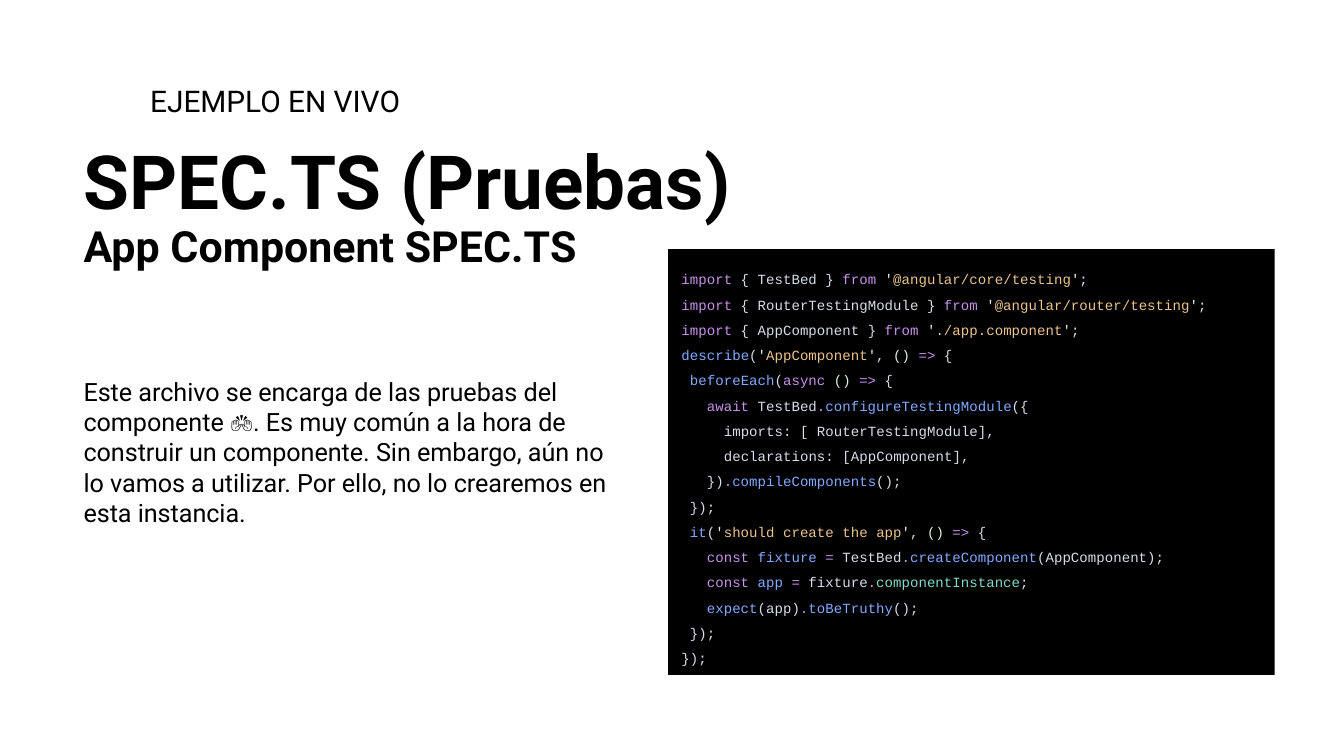
from dataclasses import dataclass
from typing import NamedTuple

from pptx import Presentation
from pptx.dml.color import RGBColor as Color
from pptx.enum.shapes import MSO_SHAPE as ShapeKind
from pptx.enum.text import MSO_ANCHOR as Anchor, PP_ALIGN as Align
from pptx.util import Cm, Pt


@dataclass(frozen=True)
class Theme:
    ink: str = "000000"
    panel: str = "000000"
    badge: str = "FFFFFF"
    keyword: str = "C792EA"
    plain: str = "D6DEEB"
    quote: str = "D9F5DD"
    string: str = "ECC48D"
    function: str = "82AAFF"
    member: str = "7FDBCA"
    text_font: str = "Roboto"
    code_font: str = "Courier New"
    title_size: float = 40
    subtitle_size: float = 23
    label_size: float = 16
    body_size: float = 13.5
    code_size: float = 7.5


THEME = Theme()


class Box(NamedTuple):
    left: float
    top: float
    width: float
    height: float


class Token(NamedTuple):
    text: str
    color: str
    size: float = THEME.code_size
    font: str = THEME.code_font
    bold: bool = False


class TextBlock(NamedTuple):
    box: Box
    lines: list[list[Token]]
    spacing: float = 1.0


def keyword(text: str) -> Token:
    return Token(text, THEME.keyword)


def plain(text: str) -> Token:
    return Token(text, THEME.plain)


def function(text: str) -> Token:
    return Token(text, THEME.function)


def prose(text: str, size: float, bold: bool = False) -> list[Token]:
    return [Token(text, THEME.ink, size, THEME.text_font, bold)]


def quoted(text: str) -> list[Token]:
    quote = Token("'", THEME.quote)
    return [quote, Token(text, THEME.string), quote]


def import_line(name: str, source: str) -> list[Token]:
    return [keyword("import"), plain(f" {{ {name} }} "), keyword("from "),
            *quoted(source), plain(";")]


def arrow_start() -> list[Token]:
    return [Token("() ", THEME.quote), keyword("=>"), plain(" {")]


def test_block(name: str, title: str) -> list[Token]:
    return [function(name), plain("("), *quoted(title), plain(", "), *arrow_start()]


def constant(name: str, value: str) -> list[Token]:
    return [plain("   "), keyword("const "), function(name), keyword(" = "),
            plain(value), keyword(".")]


CODE = [
    import_line("TestBed", "@angular/core/testing"),
    import_line("RouterTestingModule", "@angular/router/testing"),
    import_line("AppComponent", "./app.component"),
    test_block("describe", "AppComponent"),
    [plain(" "), function("beforeEach"), plain("("), keyword("async "), *arrow_start()],
    [plain("   "), keyword("await"), plain(" TestBed"), keyword("."),
     function("configureTestingModule"), plain("({")],
    [plain("     imports: [ RouterTestingModule],")],
    [plain("     declarations: [AppComponent],")],
    [plain("   })"), keyword("."), function("compileComponents"), plain("();")],
    [plain(" });")],
    [plain(" "), *test_block("it", "should create the app")],
    [*constant("fixture", "TestBed"), function("createComponent"), plain("(AppComponent);")],
    [*constant("app", "fixture"), Token("componentInstance", THEME.member), plain(";")],
    [plain("   "), function("expect"), plain("(app)"), keyword("."),
     function("toBeTruthy"), plain("();")],
    [plain(" });")],
    [plain("});")],
]

TITLE = TextBlock(Box(1.33, 2.49, 19.76, 2.95), [
    prose("SPEC.TS (Pruebas)", THEME.title_size, True),
    prose("App Component SPEC.TS", THEME.subtitle_size, True),
], 0.9)
BODY = TextBlock(Box(1.33, 6.86, 10.74, 3.4), [prose(
    "Este archivo se encarga de las pruebas del componente 🙌. "
    "Es muy común a la hora de construir un componente. "
    "Sin embargo, aún no lo vamos a utilizar. "
    "Por ello, no lo crearemos en esta instancia.", THEME.body_size)])
LABEL = TextBlock(Box(2.59, 1.31, 8.1, 1.19), [prose("EJEMPLO EN VIVO", THEME.label_size)])
LISTING = TextBlock(Box(12.63, 4.71, 11.46, 8.05), CODE, 1.5)
BADGE = Box(1.4, 1.3, 1.19, 1.19)


def apply(target: object, values: dict[str, object]) -> None:
    for name, value in values.items():
        setattr(target, name, value)


def write_text(shape, block: TextBlock) -> None:
    frame = shape.text_frame
    inset = Pt(7.2)
    apply(frame, {"word_wrap": True, "vertical_anchor": Anchor.TOP,
                  "margin_left": inset, "margin_right": inset,
                  "margin_top": inset, "margin_bottom": inset})
    for index, line in enumerate(block.lines):
        paragraph = frame.add_paragraph() if index else frame.paragraphs[0]
        apply(paragraph, {"alignment": Align.LEFT, "line_spacing": block.spacing})
        for token in line:
            run = paragraph.add_run()
            run.text = token.text
            apply(run.font, {"name": token.font, "size": Pt(token.size), "bold": token.bold})
            run.font.color.rgb = Color.from_string(token.color)


def add_text(slide, block: TextBlock) -> None:
    write_text(slide.shapes.add_textbox(*map(Cm, block.box)), block)


def add_filled(slide, kind: ShapeKind, box: Box, color: str):
    shape = slide.shapes.add_shape(kind, *map(Cm, box))
    shape.shadow.inherit = False
    shape.fill.solid()
    shape.fill.fore_color.rgb = Color.from_string(color)
    shape.line.fill.background()
    return shape


def main() -> None:
    presentation = Presentation()
    apply(presentation, {"slide_width": Cm(25.4), "slide_height": Cm(14.29)})
    slide = presentation.slides.add_slide(presentation.slide_layouts[6])
    add_text(slide, TITLE)
    add_text(slide, BODY)
    write_text(add_filled(slide, ShapeKind.RECTANGLE, LISTING.box, THEME.panel), LISTING)
    add_text(slide, LABEL)
    add_filled(slide, ShapeKind.OVAL, BADGE, THEME.badge)
    presentation.save("out.pptx")


if __name__ == "__main__":
    main()
